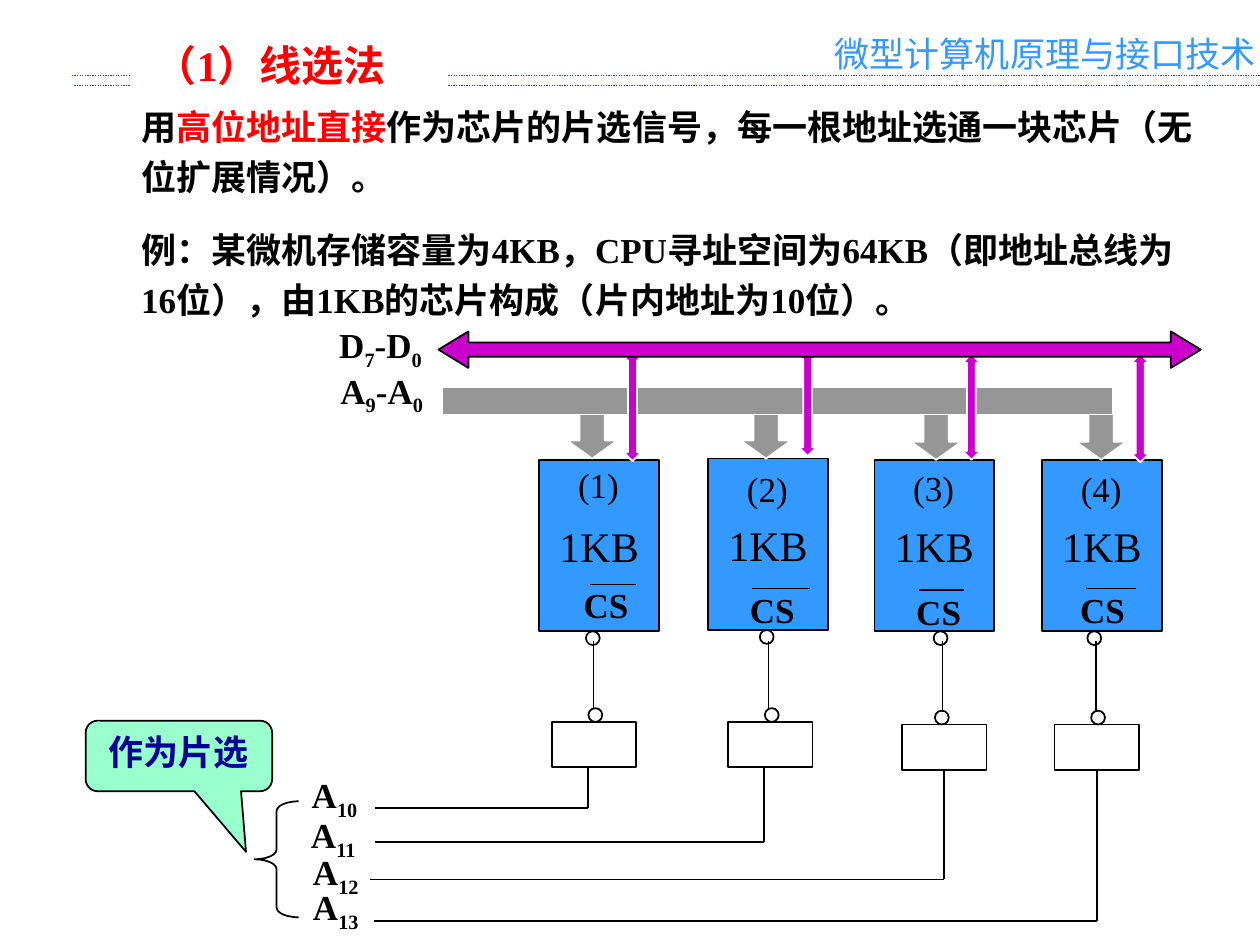
from dataclasses import dataclass

from lxml.etree import SubElement
from pptx import Presentation
from pptx.dml.color import RGBColor
from pptx.enum.dml import MSO_LINE
from pptx.enum.shapes import MSO_CONNECTOR, MSO_SHAPE
from pptx.enum.text import MSO_ANCHOR, MSO_AUTO_SIZE, PP_ALIGN
from pptx.oxml.ns import qn
from pptx.util import Inches, Pt

COLORS = {
    "black": "000000", "white": "FFFFFF", "red": "FF0000", "green": "008000",
    "blue": "3399FF", "navy": "000099", "gray": "969696", "purple": "CC00CC",
    "mint": "99FFCC",
}
LATIN_FONT = "Times New Roman"
CHINESE_FONT = "Noto Sans CJK SC"


@dataclass
class Chip:
    left: float
    top: float
    number_top: float
    cs_left: float
    cs_top: float
    bar_left: float
    bar_right: float
    bar_top: float
    bubble_left: float
    wire_x: float
    gate_left: float
    gate_top: float
    gate_bubble_left: float
    drop_offset: float
    address_y: float
    address_left: float
    address_label: tuple
    down_arrow: tuple
    data_arrow: tuple


CHIPS = [
    Chip(4.28, 3.65, 3.63, 4.41, 4.58, 4.68, 5.05, 4.64, 4.65, 4.71, 4.38, 5.73,
         4.67, -0.05, 6.41, 2.98, (2.1, 6.09, 1.11, 0.48), (4.5, 3.07), (4.95, 2.79, 0.14, 0.87)),
    Chip(5.62, 3.64, 3.66, 5.73, 4.62, 5.97, 6.43, 4.67, 6.03, 6.1, 5.78, 5.73,
         6.07, -0.05, 6.68, 2.98, (2.09, 6.41, 1.11, 0.48), (5.88, 3.07), (6.34, 2.78, 0.14, 0.84)),
    Chip(6.94, 3.65, 3.65, 7.05, 4.64, 7.29, 7.65, 4.68, 7.41, 7.48, 7.16, 5.75,
         7.42, 0, 6.98, 2.94, (2.11, 6.7, 1.11, 0.48), (7.23, 3.08), (7.64, 2.81, 0.14, 0.84)),
    Chip(8.27, 3.65, 3.66, 8.35, 4.62, 8.62, 9.02, 4.67, 8.63, 8.7, 8.37, 5.75,
         8.66, 0, 7.31, 2.97, (2.11, 6.98, 1.11, 0.48), (8.54, 3.08), (8.98, 2.81, 0.14, 0.86)),
]


def color(name):
    return RGBColor.from_string(COLORS[name])


def add_run(paragraph, text, size, color_name="black", bold=False, baseline=0, font=LATIN_FONT):
    run = paragraph.add_run()
    run.text = text
    run.font.size = Pt(size)
    run.font.bold = bold
    run.font.name = font
    run.font.color.rgb = color(color_name)
    properties = run._r.get_or_add_rPr()
    if baseline:
        properties.set("baseline", str(baseline))
    SubElement(properties, qn("a:ea")).set("typeface", CHINESE_FONT)


def add_shape(slide, kind, box, fill=None, line="black", adjustments=()):
    shape = slide.shapes.add_shape(kind, *map(Inches, box))
    shape.shadow.inherit = False
    if fill:
        shape.fill.solid()
        shape.fill.fore_color.rgb = color(fill)
    else:
        shape.fill.background()
    shape.line.color.rgb = color(line)
    shape.line.width = Pt(1)
    for index, value in enumerate(adjustments):
        shape.adjustments[index] = value
    return shape


def add_line(slide, start, end, line="black", width=1):
    connector = slide.shapes.add_connector(MSO_CONNECTOR.STRAIGHT, *map(Inches, start + end))
    connector.line.color.rgb = color(line)
    connector.line.width = Pt(width)
    SubElement(connector._element.spPr, qn("a:effectLst"))
    return connector


def add_text(slide, box, side_margin=0.1):
    frame = slide.shapes.add_textbox(*map(Inches, box)).text_frame
    frame.word_wrap = True
    frame.margin_left = frame.margin_right = Inches(side_margin)
    paragraph = frame.paragraphs[0]
    paragraph.alignment = PP_ALIGN.CENTER
    return paragraph


def add_signal_label(slide, box, parts):
    paragraph = add_text(slide, box)
    for index, text in enumerate(parts):
        add_run(paragraph, text, 20, bold=True, baseline=-25000 if index % 2 else 0)


def place_placeholder(shape, box):
    shape.left, shape.top, shape.width, shape.height = map(Inches, box)
    shape.element.getparent().append(shape.element)
    frame = shape.text_frame
    frame.word_wrap = True
    frame.auto_size = MSO_AUTO_SIZE.NONE
    frame.vertical_anchor = MSO_ANCHOR.TOP
    return frame


def build_header(slide, title_box):
    for left, y in ((0.59, 0.68), (0.57, 0.6)):
        add_line(slide, (left, y), (10, y), "green", 0.75).line.dash_style = MSO_LINE.ROUND_DOT
    course = add_text(slide, (6.59, 0.21, 3.41, 0.44), side_margin=0)
    add_run(course, "微型计算机原理与接口技术", 20, "blue", font=CHINESE_FONT)
    add_shape(slide, MSO_SHAPE.RECTANGLE, (1.05, 0.35, 2.49, 0.79), "white", "white")
    paragraph = place_placeholder(slide.shapes.title, title_box).paragraphs[0]
    paragraph.alignment = PP_ALIGN.LEFT
    add_run(paragraph, "（1）线选法", 24, "red", bold=True)


def build_body(slide, box):
    frame = place_placeholder(slide.placeholders[1], box)
    paragraphs = [
        [("用", "black"), ("高位地址直接", "red"),
         ("作为芯片的片选信号，每一根地址选通一块芯片（无位扩展情况）。", "black")],
        [("例：某微机存储容量为4KB，CPU寻址空间为64KB（即地址总线为16位），"
          "由1KB的芯片构成（片内地址为10位）。", "black")],
    ]
    for index, runs in enumerate(paragraphs):
        paragraph = frame.add_paragraph() if index else frame.paragraphs[0]
        paragraph.line_spacing = 1.2
        paragraph.space_before = Pt(12.5)
        properties = paragraph._p.get_or_add_pPr()
        properties.set("marL", "0")
        properties.set("indent", "0")
        SubElement(properties, qn("a:buNone"))
        for text, color_name in runs:
            add_run(paragraph, text, 20, color_name, bold=True)


def build_chip(slide, chip, number, box):
    left, top, width, height = box
    body = add_shape(slide, MSO_SHAPE.RECTANGLE, box, "blue")
    body.text_frame.word_wrap = False
    body.text_frame.vertical_anchor = MSO_ANCHOR.MIDDLE
    body.text_frame.paragraphs[0].alignment = PP_ALIGN.CENTER
    add_run(body.text_frame.paragraphs[0], "1KB", 24)
    add_run(add_text(slide, (left + 0.07, chip.number_top, 0.8, 0.44)), f"({number})", 20)
    add_run(add_text(slide, (chip.cs_left, chip.cs_top, 0.8, 0.44)), "CS", 20, bold=True)
    add_line(slide, (chip.bar_left, chip.bar_top), (chip.bar_right, chip.bar_top))
    add_shape(slide, MSO_SHAPE.OVAL, (chip.bubble_left, top + height, 0.11, 0.11), "white")


def build_select_line(slide, chip, number, gate_box):
    left, top, width, height = gate_box
    gate = add_shape(slide, MSO_SHAPE.RECTANGLE, gate_box, "white")
    add_shape(slide, MSO_SHAPE.OVAL, (chip.gate_bubble_left, top - 0.11, 0.11, 0.11), "white")
    add_line(slide, (chip.wire_x, top - 0.1), (chip.wire_x, 5.09))
    drop_x = left + width / 2 + chip.drop_offset
    drop = add_line(slide, (drop_x, top + height), (drop_x, chip.address_y))
    if not chip.drop_offset:
        drop.begin_connect(gate, 2)
    add_line(slide, (drop_x, chip.address_y), (chip.address_left, chip.address_y))
    add_signal_label(slide, chip.address_label, ("A", str(9 + number)))


def build_buses(slide, address_box, data_box):
    for chip in CHIPS:
        add_shape(slide, MSO_SHAPE.DOWN_ARROW, chip.down_arrow + (0.4, 0.57), "gray", "white", (0.5, 0.36))
    add_shape(slide, MSO_SHAPE.RECTANGLE, address_box, "gray", "white")
    add_signal_label(slide, (2.36, 2.88, 1.34, 0.48), ("A", "9", "-A", "0"))
    for chip in CHIPS:
        add_shape(slide, MSO_SHAPE.UP_DOWN_ARROW, chip.data_arrow, "purple", "white", (1.2, 0.5))
    add_shape(slide, MSO_SHAPE.LEFT_RIGHT_ARROW, data_box, "purple", adjustments=(0.39, 0.82))
    add_signal_label(slide, (2.33, 2.52, 1.38, 0.48), ("D", "7", "-D", "0"))


def build_select_note(slide, callout_box, brace_box):
    callout = add_shape(slide, MSO_SHAPE.ROUNDED_RECTANGULAR_CALLOUT, callout_box, "mint",
                        adjustments=(0.36, 1.36, 0.17))
    callout.text_frame.word_wrap = True
    callout.text_frame.vertical_anchor = MSO_ANCHOR.TOP
    callout.text_frame.paragraphs[0].alignment = PP_ALIGN.CENTER
    add_run(callout.text_frame.paragraphs[0], "作为片选", 20, "navy", bold=True)
    add_shape(slide, MSO_SHAPE.LEFT_BRACE, brace_box, adjustments=(0.22, 0.5))


def main():
    presentation = Presentation()
    presentation.slide_width, presentation.slide_height = Inches(10), Inches(7.5)
    slide = presentation.slides.add_slide(presentation.slide_layouts[1])
    build_header(slide, (1.13, 0.26, 2.26, 0.5))
    build_body(slide, (1.02, 0.72, 8.57, 1.88))
    for number, chip in enumerate(CHIPS, 1):
        build_chip(slide, chip, number, (chip.left, chip.top, 0.95, 1.36))
        build_select_line(slide, chip, number, (chip.gate_left, chip.gate_top, 0.67, 0.36))
    build_buses(slide, (3.51, 3.07, 5.32, 0.22), (3.48, 2.63, 6.05, 0.29))
    build_select_note(slide, (0.68, 5.72, 1.48, 0.56), (2.02, 6.36, 0.35, 0.92))
    presentation.save("out.pptx")


if __name__ == "__main__":
    main()
